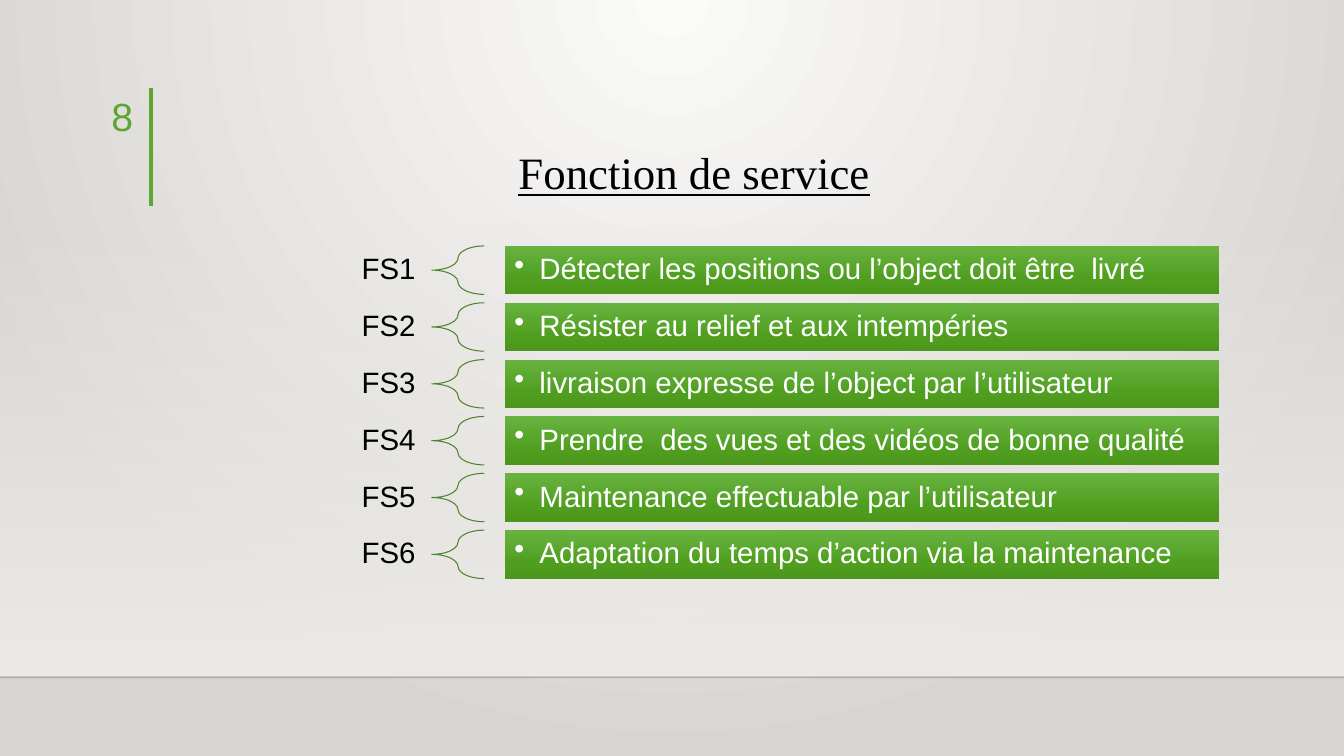
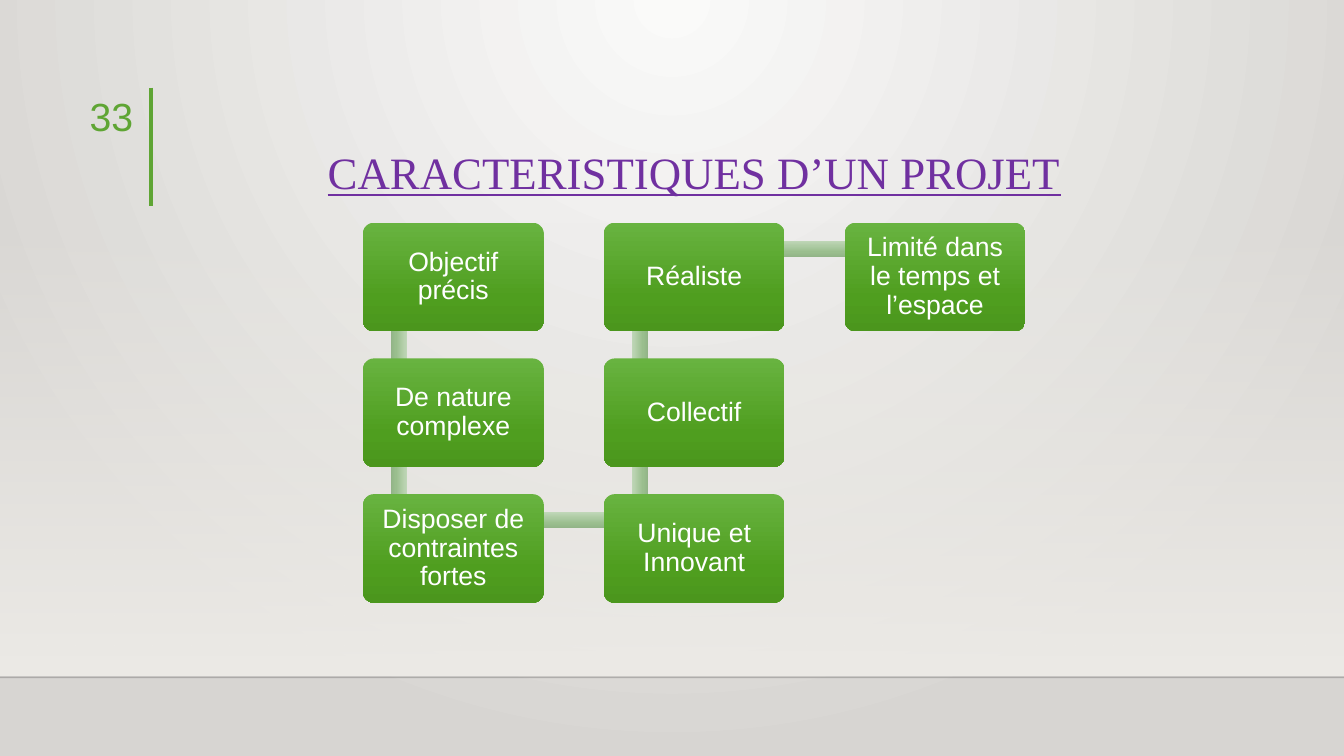
from itertools import pairwise

from lxml import etree
from pptx import Presentation
from pptx.dml.color import RGBColor
from pptx.enum.shapes import MSO_CONNECTOR, MSO_SHAPE
from pptx.enum.text import MSO_ANCHOR, MSO_AUTO_SIZE, PP_ALIGN
from pptx.oxml.ns import qn
from pptx.util import Inches, Pt

RECTANGLE = MSO_SHAPE.RECTANGLE
ROUNDED = MSO_SHAPE.ROUNDED_RECTANGLE
BRACE = MSO_SHAPE.LEFT_BRACE
STRAIGHT = MSO_CONNECTOR.STRAIGHT
LEFT, CENTER, RIGHT = PP_ALIGN.LEFT, PP_ALIGN.CENTER, PP_ALIGN.RIGHT
TOP, MIDDLE, BOTTOM = MSO_ANCHOR.TOP, MSO_ANCHOR.MIDDLE, MSO_ANCHOR.BOTTOM
NO_AUTOFIT = MSO_AUTO_SIZE.NONE

WIDTH, HEIGHT = 13.33, 7.5
TITLE_ONLY = 5
SANS, SERIF = "Arial", "Times New Roman"
COLORS = {
    "black": "000000",
    "white": "FFFFFF",
    "purple": "7030A0",
    "accent": "5FA534",
    "brace": "4C842A",
    "horizon": "000001",
    "haze": "EDEBE7",
    "glow": "FAFAF9",
    "edge": "D7D5D2",
    "green_top": "68B340",
    "green_mid": "4F9E1F",
    "green_low": "4B961D",
    "link_top": "C0D7B8",
    "link_mid": "9ABE8E",
    "link_low": "92B487",
}
GREEN = [(0, "green_top", 100), (69, "green_mid", 100), (100, "green_low", 100)]
LINK = [(0, "link_top", 100), (69, "link_mid", 100), (100, "link_low", 100)]
HAZE = [(0, "haze", 0), (100, "haze", 100)]
BACKDROP = [(0, "glow", 100), (100, "edge", 100)]

TITLE_BOX = (1.68, 0.88, 10.41, 1.15)
NUMBER_BOX = (0.53, 0.87, 0.89, 0.55)
FUNCTIONS_BOX = (1.68, 2.44, 10.41, 3.3)
SNAKE_BOX = (3.6, 2.21, 6.57, 3.77)

FUNCTIONS = [
    "Détecter les positions ou l’object doit être  livré",
    "Résister au relief et aux intempéries",
    "livraison expresse de l’object par l’utilisateur",
    "Prendre  des vues et des vidéos de bonne qualité",
    "Maintenance effectuable par l’utilisateur",
    "Adaptation du temps d’action via la maintenance",
]
TRAITS = [
    "Objectif précis",
    "De nature complexe",
    "Disposer de contraintes fortes",
    "Unique et Innovant",
    "Collectif",
    "Réaliste",
    "Limité dans le temps et l’espace",
]


def color(name):
    return RGBColor.from_string(COLORS[name])


def inches(box):
    return [Inches(length) for length in box]


def set_alpha(node, percent):
    etree.SubElement(node, qn("a:alpha"), val=str(percent * 1000))


def paint_gradient(owner, fill, stops, radial=False):
    fill.gradient()
    gradient = owner.element.find(".//" + qn("a:gradFill"))
    gradient.clear()
    gradient.set("rotWithShape", "1")
    stop_list = etree.SubElement(gradient, qn("a:gsLst"))
    for position, name, alpha in stops:
        stop = etree.SubElement(stop_list, qn("a:gs"), pos=str(position * 1000))
        node = etree.SubElement(stop, qn("a:srgbClr"), val=COLORS[name])
        if alpha < 100:
            set_alpha(node, alpha)
    if radial:
        circle = etree.SubElement(gradient, qn("a:path"), {"path": "circle"})
        etree.SubElement(circle, qn("a:fillToRect"),
                         l="43000", t="0", r="43000", b="100000")
    else:
        etree.SubElement(gradient, qn("a:lin"), ang="5400000", scaled="0")


def add_block(page, kind, box, stops):
    block = page.shapes.add_shape(kind, *inches(box))
    block.shadow.inherit = False
    block.line.fill.background()
    paint_gradient(block, block.fill, stops)
    return block


def add_rule(page, start, end, name, weight):
    rule = page.shapes.add_connector(STRAIGHT, *inches(start + end))
    rule.line.color.rgb = color(name)
    rule.line.width = Pt(weight)
    etree.SubElement(rule.element.spPr, qn("a:effectLst"))
    return rule


def write(shape, text, size, name, align=CENTER, anchor=MIDDLE, font=SANS,
          insets=(0.1, 0.05), spacing=0.9, bullet=False):
    frame = shape.text_frame
    frame.word_wrap = True
    frame.auto_size = NO_AUTOFIT
    frame.vertical_anchor = anchor
    frame.margin_left = frame.margin_right = Inches(insets[0])
    frame.margin_top = frame.margin_bottom = Inches(insets[1])
    para = frame.paragraphs[0]
    para.text = text
    para.alignment = align
    para.line_spacing = spacing
    if bullet:
        properties = para._p.get_or_add_pPr()
        properties.set("marL", str(Inches(0.25)))
        properties.set("indent", str(-Inches(0.25)))
        etree.SubElement(properties, qn("a:buChar"), char="•")
    para.font.name = font
    para.font.size = Pt(size)
    para.font.color.rgb = color(name)
    return para


def add_page(deck, title, title_color, number):
    page = deck.slides.add_slide(deck.slide_layouts[TITLE_ONLY])
    add_block(page, RECTANGLE, (0, 2.2, WIDTH, 4.5), HAZE)
    horizon = add_rule(page, (0, 6.72), (WIDTH, 6.72), "horizon", 1)
    set_alpha(horizon.element.find(".//" + qn("a:srgbClr")), 20)
    add_rule(page, (1.5, 0.87), (1.5, 2.04), "accent", 3)

    heading = page.shapes.title
    heading.left, heading.top, heading.width, heading.height = inches(TITLE_BOX)
    para = write(heading, title, 32, title_color, anchor=BOTTOM, font=SERIF)
    para.font.underline = True

    number_box = page.shapes.add_textbox(*inches(NUMBER_BOX))
    write(number_box, number, 28, "accent", RIGHT, TOP, spacing=1.0)
    return page


def add_functions(page, box, functions):
    left, top, width, height = box
    gap_share = 0.175
    count = len(functions)
    row = height / (count + (count - 1) * gap_share)
    for index, text in enumerate(functions):
        y = top + index * row * (1 + gap_share)
        label = page.shapes.add_textbox(*inches((left, y, width * 0.25, row)))
        write(label, f"FS{index + 1}", 21, "black", RIGHT, insets=(0.16, 0.06))

        brace = page.shapes.add_shape(
            BRACE, *inches((left + width * 0.25, y, width * 0.05, row)))
        brace.shadow.inherit = False
        brace.adjustments[0] = 0.35
        brace.fill.background()
        brace.line.color.rgb = color("brace")
        brace.line.width = Pt(0.75)

        bar = add_block(page, RECTANGLE,
                        (left + width * 0.32, y, width * 0.68, row), GREEN)
        write(bar, text, 21, "white", LEFT, insets=(0.09, 0.09), bullet=True)


def add_snake(page, box, traits, rows=3):
    left, top, width, height = box
    cell_width, cell_height = width * 3 / 11, height / 3.5
    pitch_x, pitch_y = cell_width * 4 / 3, cell_height * 5 / 4
    thickness = 0.16

    corners = []
    for index in range(len(traits)):
        column, step = divmod(index, rows)
        row = rows - 1 - step if column % 2 else step
        corners.append((left + column * pitch_x, top + row * pitch_y))

    for (x1, y1), (x2, y2) in pairwise(corners):
        length = abs(x2 - x1) + abs(y2 - y1)
        center_x = (x1 + x2) / 2 + cell_width * 0.2
        center_y = (y1 + y2) / 2 + cell_height * 0.24
        link = add_block(page, RECTANGLE,
                         (center_x - length / 2, center_y - thickness / 2,
                          length, thickness), LINK)
        if y1 != y2:
            link.rotation = 90 if y2 > y1 else 270

    for (x, y), text in zip(corners, traits):
        cell = add_block(page, ROUNDED, (x, y, cell_width, cell_height), GREEN)
        cell.adjustments[0] = 0.1
        write(cell, text, 19, "white", insets=(0.08, 0.08))


def main():
    deck = Presentation()
    deck.slide_width, deck.slide_height = inches((WIDTH, HEIGHT))
    master = deck.slide_master
    paint_gradient(master, master.background.fill, BACKDROP, radial=True)

    service = add_page(deck, "Fonction de service", "black", "8")
    add_functions(service, FUNCTIONS_BOX, FUNCTIONS)

    project = add_page(deck, "CARACTERISTIQUES D’UN PROJET", "purple", "33")
    add_snake(project, SNAKE_BOX, TRAITS)

    deck.save("out.pptx")


if __name__ == "__main__":
    main()
